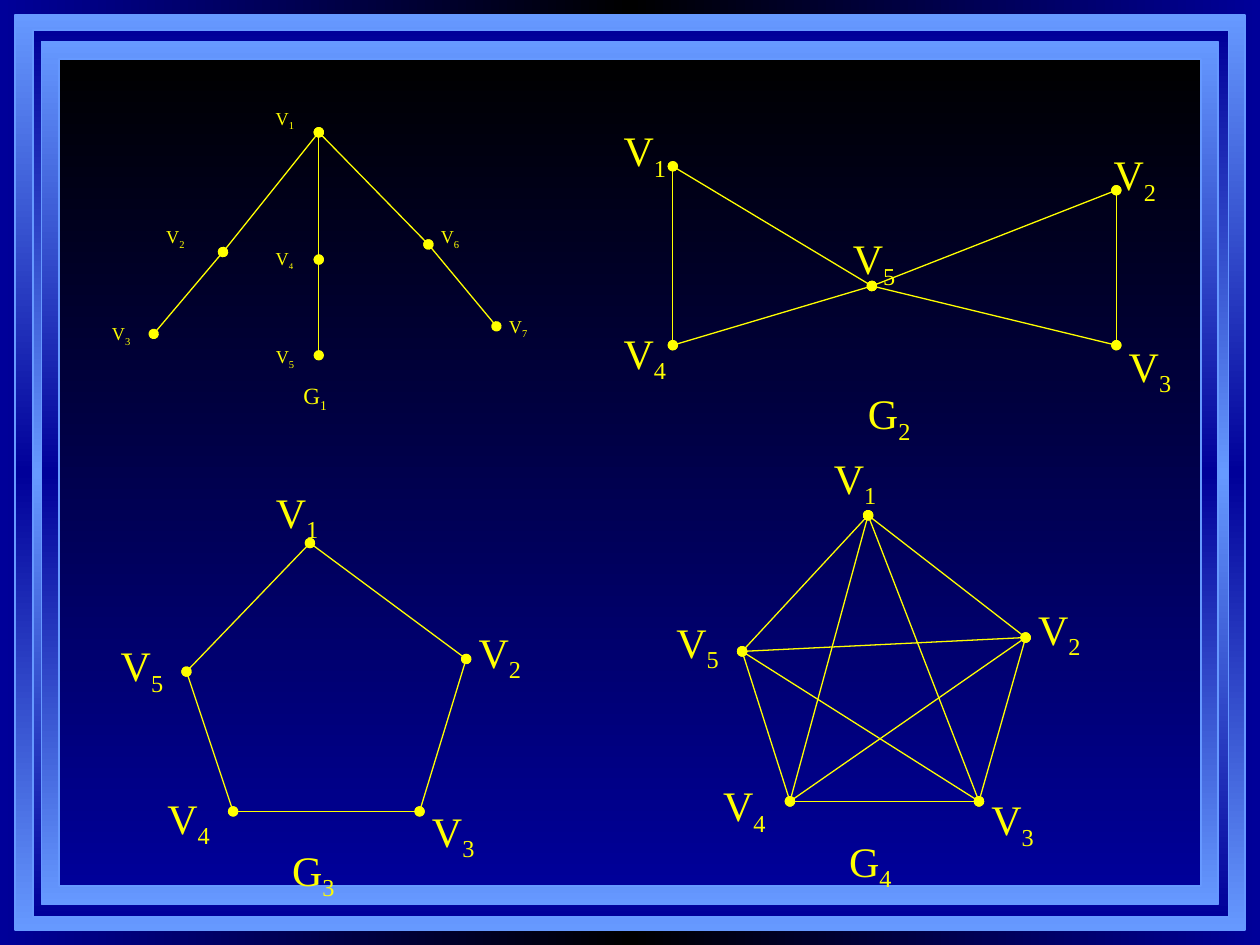
from lxml.etree import SubElement
from pptx import Presentation
from pptx.dml.color import RGBColor
from pptx.enum.shapes import MSO_CONNECTOR, MSO_SHAPE
from pptx.enum.text import PP_ALIGN
from pptx.oxml.ns import qn
from pptx.util import Inches, Pt

THEME = {
    "font": "Times New Roman", "ink": "FFFF00", "edge": 0.75,
    "navy": "000099", "sky": "6699FF", "black": "000000", "rim": 1,
    "small": 10.4, "small_sub": 8.6, "caption": 13.3, "large": 24,
}

deck = Presentation()
deck.slide_width, deck.slide_height = Inches(10), Inches(7.5)
slide = deck.slides.add_slide(deck.slide_layouts[6])
CELL = deck.slide_width / 100  # grid of 100 columns by 75 rows


def grid(*cells):
    return [round(cell * CELL) for cell in cells]


def paint_gradient(fill, owner, names, angle):
    """Spread the named theme colours evenly over a linear gradient."""
    fill.gradient()
    fill.gradient_angle = angle
    stops = next(owner.iter(qn("a:gsLst")))
    for stop in list(stops):
        stops.remove(stop)
    for i, name in enumerate(names):
        stop = SubElement(stops, qn("a:gs"), pos=str(100000 * i // (len(names) - 1)))
        SubElement(stop, qn("a:srgbClr"), val=THEME[name])


# Background and nested frames, outermost first
paint_gradient(slide.background.fill, slide.element, ["navy", "black", "navy"], 0)
frames = [
    ((1.2, 1.2, 97.6, 72.6), ["sky", "navy", "sky"]),
    ((2.6, 2.4, 94.9, 70.4), ["navy", "sky", "navy"]),
    ((3.3, 3.3, 93.4, 68.5), ["sky", "navy", "sky"]),
    ((4.7, 4.7, 90.6, 65.6), ["black", "navy"]),
]
border = slide.shapes.add_group_shape()
for box, names in frames:
    frame = border.shapes.add_shape(MSO_SHAPE.RECTANGLE, *grid(*box))
    frame.shadow.inherit = False
    paint_gradient(frame.fill, frame.element, names, 270)
    frame.line.color.rgb = RGBColor.from_string(THEME["sky"])
    frame.line.width = Pt(THEME["rim"])

# Graphs: vertex points, edges as vertex pairs, label boxes
graphs = [
    {
        "size": "small", "caption_size": "caption", "spacing": 0.8,
        "points": {1: (25.3, 10.5), 2: (17.7, 20), 3: (12.2, 26.5), 4: (25.3, 20.6),
                   5: (25.3, 28.2), 6: (34, 19.4), 7: (39.4, 25.9)},
        "edges": "12 23 14 45 16 67",
        "labels": {"V1": (20.9, 8.2, 5.4, 2.9), "V2": (12.2, 17.6, 8.7, 3),
                   "V3": (7.9, 25.3, 6.5, 3), "V4": (20.9, 19.4, 5.4, 3),
                   "V5": (20.9, 27.1, 6.5, 3), "V6": (34, 17.6, 5, 3),
                   "V7": (39.4, 24.7, 5.4, 3), "G1": (23.1, 30, 12, 3.5)},
        "sub_sizes": {"V4": "small_sub"},
    },
    {
        "points": {1: (53.4, 13.2), 2: (88.6, 15.1), 3: (88.6, 27.4),
                   4: (53.4, 27.4), 5: (69.2, 22.7)},
        "edges": "15 14 45 52 53 23",
        "labels": {"V1": (48.5, 9.4, 6.1, 6.6), "V2": (87.4, 11.3, 6.1, 6.6),
                   "V3": (88.6, 26.5, 6.1, 6.6), "V4": (48.5, 25.5, 6.1, 6.6),
                   "V5": (66.7, 18, 6.1, 5.7), "G2": (67.9, 30.3, 6.1, 5.7)},
    },
    {
        "points": {1: (24.6, 43.1), 2: (37, 52.3), 3: (33.3, 64.4),
                   4: (18.5, 64.4), 5: (14.8, 53.3)},
        "edges": "12 15 54 23 43",
        "labels": {"V1": (20.9, 38.1, 6.2, 6.1), "V2": (37, 49.2, 6.1, 7.1),
                   "V3": (33.3, 63.4, 6.1, 7.1), "V4": (12.3, 62.4, 6.1, 7.1),
                   "V5": (8.6, 50.3, 6.1, 6.1), "G3": (22.2, 66.5, 6.1, 6.1)},
    },
    {
        "points": {1: (68.9, 40.9), 2: (81.4, 50.6), 3: (77.7, 63.6),
                   4: (62.7, 63.6), 5: (58.9, 51.7)},
        "edges": "12 15 54 23 43 14 13 52 42 53",
        "labels": {"V1": (65.2, 35.4, 6.3, 6.5), "V2": (81.4, 47.4, 6.2, 7.6),
                   "V3": (77.7, 62.5, 6.2, 7.6), "V4": (56.4, 61.4, 6.2, 7.6),
                   "V5": (52.7, 48.4, 6.2, 6.5), "G4": (66.4, 65.8, 6.2, 6.5)},
    },
]

for graph in graphs:
    drawing = slide.shapes.add_group_shape().shapes

    # Edges with a dot at each vertex
    for start, end in graph["edges"].split():
        edge = drawing.add_connector(
            MSO_CONNECTOR.STRAIGHT,
            *grid(*graph["points"][int(start)], *graph["points"][int(end)]))
        edge.line.color.rgb = RGBColor.from_string(THEME["ink"])
        edge.line.width = Pt(THEME["edge"])
        for tip in ("a:headEnd", "a:tailEnd"):
            SubElement(edge.line._get_or_add_ln(), qn(tip), type="oval")
        SubElement(edge.element.spPr, qn("a:effectLst"))

    # Vertex labels and caption, each a letter with a subscript number
    for name, box in graph["labels"].items():
        label = drawing.add_textbox(*grid(*box)).text_frame
        label.word_wrap = True
        line = label.paragraphs[0]
        line.alignment = PP_ALIGN.JUSTIFY
        line.line_spacing = graph.get("spacing", 1.0)
        size = graph.get("caption_size" if name[0] == "G" else "size", "large")
        letter, number = line.add_run(), line.add_run()
        letter.text, number.text = name
        for run in (letter, number):
            run.font.name = THEME["font"]
            run.font.size = Pt(THEME[size])
            run.font.color.rgb = RGBColor.from_string(THEME["ink"])
        number.font.size = Pt(THEME[graph.get("sub_sizes", {}).get(name, size)])
        number.font._element.set("baseline", "-25000")

deck.save("out.pptx")
